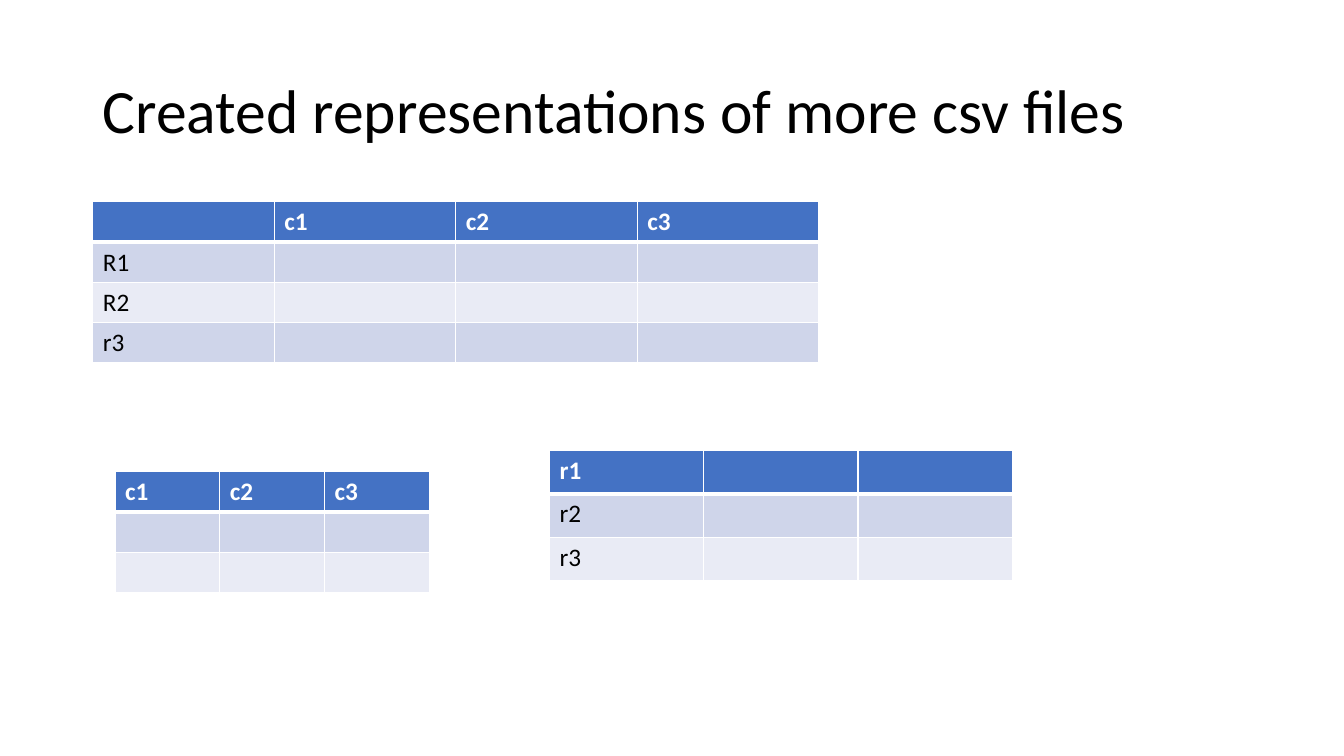
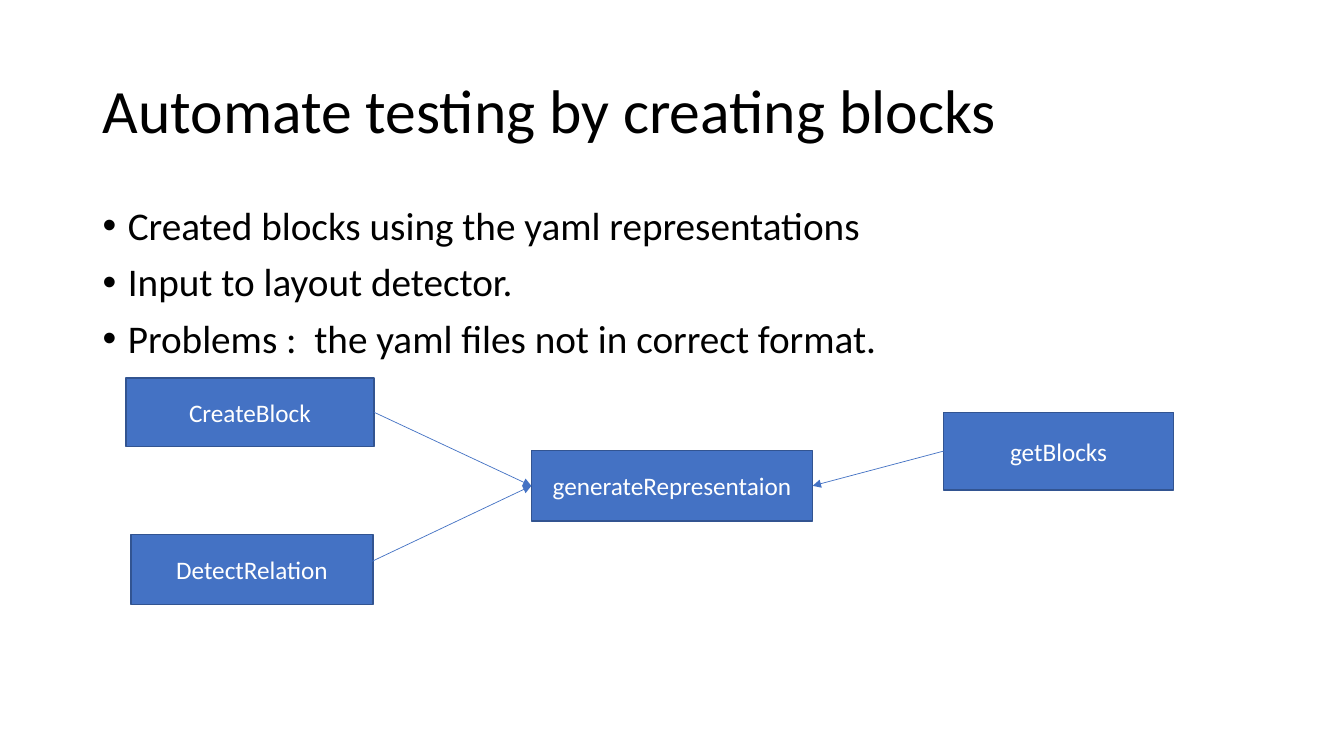
from lxml import etree
from pptx import Presentation
from pptx.dml.color import RGBColor
from pptx.enum.shapes import MSO_CONNECTOR as Line, MSO_SHAPE as Kind
from pptx.enum.text import MSO_ANCHOR as Anchor, PP_ALIGN as Align
from pptx.oxml.ns import qn
from pptx.util import Inches, Pt

FONT = "Calibri"
HUES = {"text": "000000", "white": "FFFFFF", "blue": "4472C4", "edge": "325491",
        "odd": "CFD5EA", "even": "E9EBF5"}
TITLES = ["Created representations of more csv files",
          "Automate testing by creating blocks"]
TABLES = [
    ((0.92, 2), (1.8, 0.4), [["", "c1", "c2", "c3"], ["R1", "", "", ""],
                             ["R2", "", "", ""], ["r3", "", "", ""]]),
    ((1.14, 4.68), (1.04, 0.4), [["c1", "c2", "c3"], [""] * 3, [""] * 3]),
    ((5.45, 4.47), (1.53, 0.43), [["r1", "", ""], ["r2", "", ""], ["r3", "", ""]]),
]
POINTS = ["Created blocks using the yaml representations",
          "Input to layout detector.",
          "Problems :  the yaml files not in correct format."]
BLOCKS = {
    "CreateBlock": (1.25, 3.75, 2.46, 0.68),
    "DetectRelation": (1.3, 5.3, 2.4, 0.7),
    "generateRepresentaion": (5.27, 4.47, 2.79, 0.7),
    "getBlocks": (9.36, 4.09, 2.28, 0.77),
}
HUB = "generateRepresentaion"
LEFT, RIGHT = 1, 3
ARROWS = [((3.71, 4.09), LEFT, ("CreateBlock", RIGHT)),
          ((3.54, 5.64), LEFT, None),
          ((9.36, 4.47), RIGHT, ("getBlocks", LEFT))]


def hue(name):
    return RGBColor.from_string(HUES[name])


def paint(fill, name):
    fill.solid()
    fill.fore_color.rgb = hue(name)


def style(par, size, name="text", bold=False):
    par.font.size = Pt(size)
    for run in par.runs:
        font = run.font
        font.name, font.size, font.bold = FONT, Pt(size), bold
        font.color.rgb = hue(name)


def add_text(slide, spot, lines, size):
    frame = slide.shapes.add_textbox(*map(Inches, spot)).text_frame
    frame.word_wrap = True
    frame.text = "\n".join(lines)
    for par in frame.paragraphs:
        par.line_spacing = 0.9
        style(par, size)
    return frame


def add_slide(deck, title):
    slide = deck.slides.add_slide(deck.slide_layouts[6])
    frame = add_text(slide, (0.92, 0.4, 11.5, 1.45), [title], 44)
    frame.vertical_anchor = Anchor.MIDDLE
    return slide


def add_border(cell, side, width):
    props = cell._tc.get_or_add_tcPr()
    line = etree.SubElement(props, qn("a:ln" + side), w=str(Pt(width)))
    fill = etree.SubElement(line, qn("a:solidFill"))
    etree.SubElement(fill, qn("a:srgbClr"), val=HUES["white"])


def add_grid(slide, spot, size, rows):
    wide, high = size
    count = len(rows[0])
    box = (*spot, wide * count, high * len(rows))
    table = slide.shapes.add_table(len(rows), count, *map(Inches, box)).table
    for col in table.columns:
        col.width = Inches(wide)
    for r, row in enumerate(rows):
        table.rows[r].height = Inches(high)
        head = r == 0
        for c, text in enumerate(row):
            cell = table.cell(r, c)
            cell.text = text
            style(cell.text_frame.paragraphs[0], 18, "white" if head else "text", head)
            for side in "LRTB":
                thick = (r, side) in ((0, "B"), (1, "T"))
                add_border(cell, side, 3 if thick else 1)
            paint(cell.fill, "blue" if head else "odd" if r % 2 else "even")


def add_points(slide):
    frame = add_text(slide, (0.92, 2, 11.5, 4.76), POINTS, 28)
    for par in frame.paragraphs:
        par.space_before = Pt(10)
        props = par._p.get_or_add_pPr()
        props.set("marL", str(Inches(0.25)))
        props.set("indent", str(Inches(-0.25)))
        etree.SubElement(props, qn("a:buFont"), typeface="Arial")
        etree.SubElement(props, qn("a:buChar"), char="•")


def add_block(slide, name, spot):
    block = slide.shapes.add_shape(Kind.RECTANGLE, *map(Inches, spot))
    block.shadow.inherit = False
    paint(block.fill, "blue")
    paint(block.line.fill, "edge")
    block.line.width = Pt(1)
    frame = block.text_frame
    frame.word_wrap = True
    frame.vertical_anchor = Anchor.MIDDLE
    frame.text = name
    par = frame.paragraphs[0]
    par.alignment = Align.CENTER
    style(par, 18, "white")
    return block


def add_arrow(slide, blocks, start, side, source):
    x, y = map(Inches, start)
    arrow = slide.shapes.add_connector(Line.STRAIGHT, x, y, x, y)
    if source:
        name, exit_side = source
        arrow.begin_connect(blocks[name], exit_side)
    arrow.end_connect(blocks[HUB], side)
    paint(arrow.line.fill, "blue")
    arrow.line.width = Pt(0.5)
    etree.SubElement(arrow.line._get_or_add_ln(), qn("a:tailEnd"), type="triangle")
    etree.SubElement(arrow._element.spPr, qn("a:effectLst"))


deck = Presentation()
deck.slide_width, deck.slide_height = Inches(13.33), Inches(7.5)
files, flow = [add_slide(deck, title) for title in TITLES]
for spot, size, rows in TABLES:
    add_grid(files, spot, size, rows)
add_points(flow)
blocks = {name: add_block(flow, name, spot) for name, spot in BLOCKS.items()}
for start, side, source in ARROWS:
    add_arrow(flow, blocks, start, side, source)
deck.save("out.pptx")
